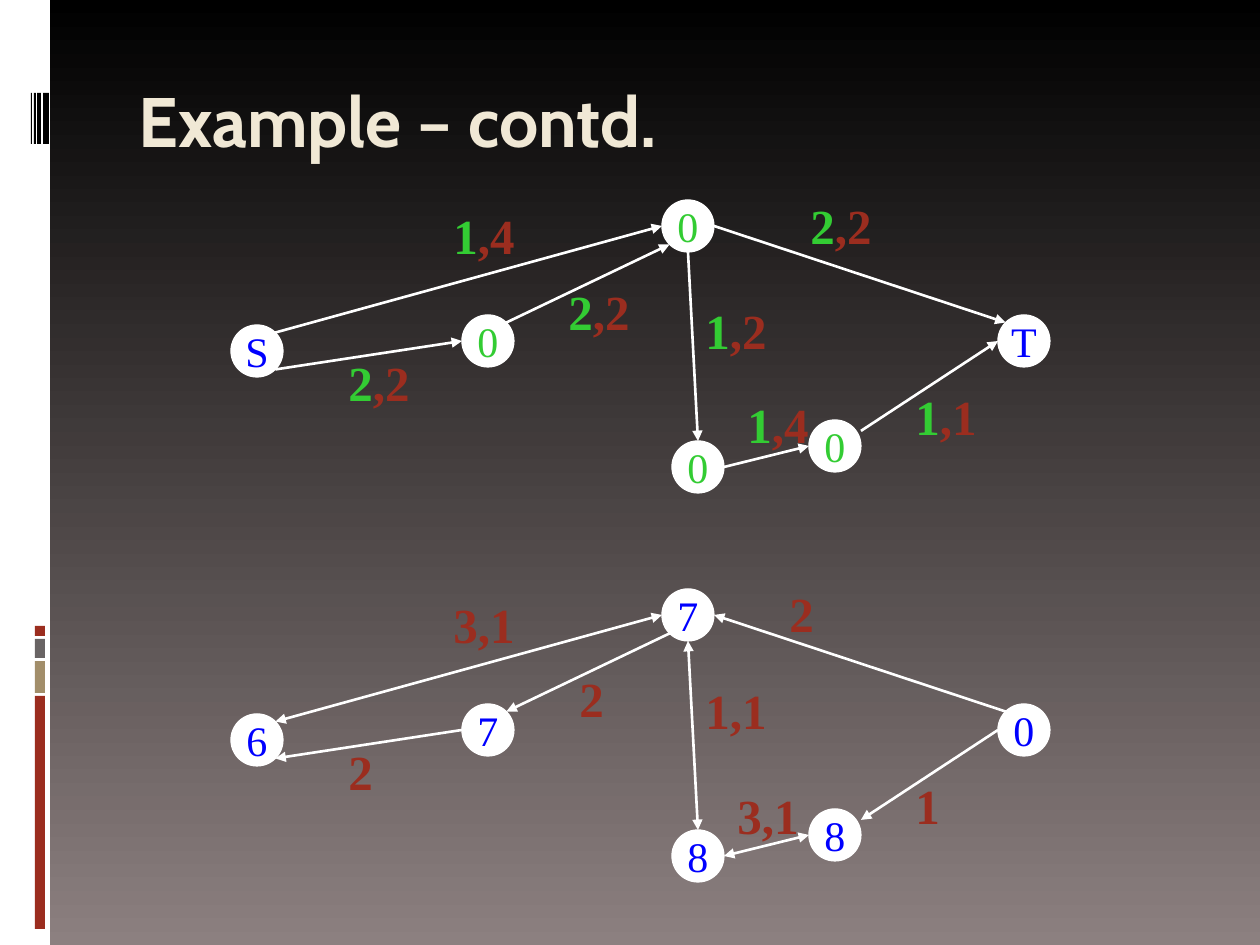
from pptx import Presentation
from pptx.dml.color import RGBColor
from pptx.enum.shapes import MSO_CONNECTOR, MSO_SHAPE
from pptx.enum.text import MSO_ANCHOR, PP_ALIGN
from pptx.oxml.ns import qn
from pptx.util import Emu, Pt
from lxml.etree import SubElement

COLORS = {
    "white": "FFFFFF", "black": "000000", "bottom": "8C8080", "title": "F0E8D5",
    "red": "9B2D1F", "tan": "A28E6A", "gray": "696464",
    "blue": "0000FF", "green": "33CC33",
}
SANS, SERIF = "Cabin", "Times New Roman"
EMU_PER_PX = 914400 / 126
TITLE = "Example – contd."

SIDEBAR = [
    ("white", 0, 0, 50, 945),
    ("red", 35, 696, 10, 233), ("tan", 35, 661, 10, 32),
    ("gray", 35, 639, 10, 19), ("red", 35, 626, 10, 10),
    ("black", 43, 93, 6, 51), ("black", 37, 93, 4, 51),
    ("black", 34, 93, 2, 51), ("black", 31, 93, 1, 51),
]

RADIUS = 26
CENTERS = {"S": (257, 351), "A": (488, 341), "B": (688, 226),
           "C": (698, 467), "D": (835, 446), "T": (1024, 341)}
SITES = {"left": (-1, 0), "right": (1, 0), "top": (0, -1), "bottom": (0, 1),
         "top left": (-0.71, -0.71), "top right": (0.71, -0.71),
         "bottom left": (-0.71, 0.71), "bottom right": (0.71, 0.71),
         "upper right": (1, -0.58)}
EDGES = {
    "SB": ("top right", "left"), "SA": ("bottom right", "left"),
    "DT": ("upper right", "left"), "BC": ("bottom", "top"),
    "BT": ("right", "top left"), "AB": ("top right", "bottom left"),
    "CD": ("right", "left"),
}
FORWARD, BACKWARD, BOTH = ("tailEnd",), ("headEnd",), ("headEnd", "tailEnd")

GRAPHS = [
    {
        "top": 0,
        "nodes": {"S": ("S", "blue"), "A": ("0", "green"), "B": ("0", "green"),
                  "C": ("0", "green"), "D": ("0", "green"), "T": ("T", "blue")},
        "arrows": dict.fromkeys(EDGES, FORWARD),
        "labels": [("1", ",4", 441, 199), ("1", ",1", 903, 380), ("2", ",2", 336, 346),
                   ("1", ",4", 735, 388), ("2", ",2", 556, 275), ("2", ",2", 798, 189),
                   ("1", ",2", 693, 294)],
    },
    {
        "top": 389,
        "nodes": {"S": ("6", "blue"), "A": ("7", "blue"), "B": ("7", "blue"),
                  "C": ("8", "blue"), "D": ("8", "blue"), "T": ("0", "blue")},
        "arrows": {**dict.fromkeys(EDGES, BACKWARD), "SB": BOTH, "BC": BOTH, "CD": BOTH},
        "labels": [("", "3,1", 441, 199), ("", "1", 903, 380), ("", "2", 777, 188),
                   ("", "2", 336, 346), ("", "3,1", 725, 390), ("", "2", 567, 273),
                   ("", "1,1", 693, 285)],
    },
]


def px(*lengths):
    return [Emu(round(length * EMU_PER_PX)) for length in lengths]


def rgb(name):
    return RGBColor.from_string(COLORS[name])


def set_font(font, name, size, color=None, bold=False):
    font.name, font.size, font.bold = name, Pt(size), bold
    if color:
        font.color.rgb = rgb(color)


def add_bar(page, color, *place):
    bar = page.shapes.add_shape(MSO_SHAPE.RECTANGLE, *px(*place))
    bar.shadow.inherit = False
    bar.fill.solid()
    bar.fill.fore_color.rgb = rgb(color)
    bar.line.fill.background()


def add_edge(group, start, end, arrowheads):
    edge = group.shapes.add_connector(MSO_CONNECTOR.STRAIGHT, *px(*start, *end))
    edge.line.color.rgb = rgb("white")
    edge.line.width = Pt(1.5)
    line = edge.line._get_or_add_ln()
    for arrowhead in arrowheads:
        SubElement(line, qn(f"a:{arrowhead}"), type="triangle")
    SubElement(edge._element.spPr, qn("a:effectLst"))


def add_node(group, center, text, color):
    x, y = center
    node = group.shapes.add_shape(
        MSO_SHAPE.OVAL, *px(x - RADIUS, y - RADIUS, 2 * RADIUS, 2 * RADIUS))
    node.shadow.inherit = False
    node.fill.solid()
    node.fill.fore_color.rgb = rgb("white")
    node.line.color.rgb = rgb("white")
    node.line.width = Pt(0.75)
    frame = node.text_frame
    frame.word_wrap = False
    frame.vertical_anchor = MSO_ANCHOR.MIDDLE
    para = frame.paragraphs[0]
    para.text = text
    para.alignment = PP_ALIGN.CENTER
    set_font(para.font, SERIF, 24, color)


def add_label(group, flow, capacity, x, y):
    width = 95 if len(flow + capacity) > 1 else 53
    box = group.shapes.add_textbox(*px(x, y, width, 72))
    box.text_frame.word_wrap = True
    para = box.text_frame.paragraphs[0]
    set_font(para.font, SERIF, 28, bold=True)
    for text, color in ((flow, "green"), (capacity, "red")):
        if text:
            span = para.add_run()
            span.text = text
            span.font.color.rgb = rgb(color)


def add_graph(page, graph):
    group = page.shapes.add_group_shape()
    centers = {name: (x, y + graph["top"]) for name, (x, y) in CENTERS.items()}
    for edge, sites in EDGES.items():
        ends = []
        for name, site in zip(edge, sites):
            (x, y), (dx, dy) = centers[name], SITES[site]
            ends.append((x + RADIUS * dx, y + RADIUS * dy))
        add_edge(group, *ends, graph["arrows"][edge])
    for name, (text, color) in graph["nodes"].items():
        add_node(group, centers[name], text, color)
    for flow, capacity, x, y in graph["labels"]:
        add_label(group, flow, capacity, x, y + graph["top"])


def main():
    deck = Presentation()
    deck.slide_width, deck.slide_height = px(1260, 945)
    page = deck.slides.add_slide(deck.slide_layouts[5])

    fill = page.background.fill
    fill.gradient()
    fill.gradient_angle = 270
    for stop, color in zip(fill.gradient_stops, ("black", "bottom")):
        stop.color.rgb = rgb(color)

    for bar in SIDEBAR:
        add_bar(page, *bar)

    title = page.shapes.title
    title.left, title.top, title.width, title.height = px(126, 71, 1071, 126)
    title.text_frame.vertical_anchor = MSO_ANCHOR.TOP
    para = title.text_frame.paragraphs[0]
    para.text = TITLE
    para.alignment = PP_ALIGN.LEFT
    set_font(para.font, SANS, 40, "title", bold=True)

    for graph in GRAPHS:
        add_graph(page, graph)
    deck.save("out.pptx")


if __name__ == "__main__":
    main()
